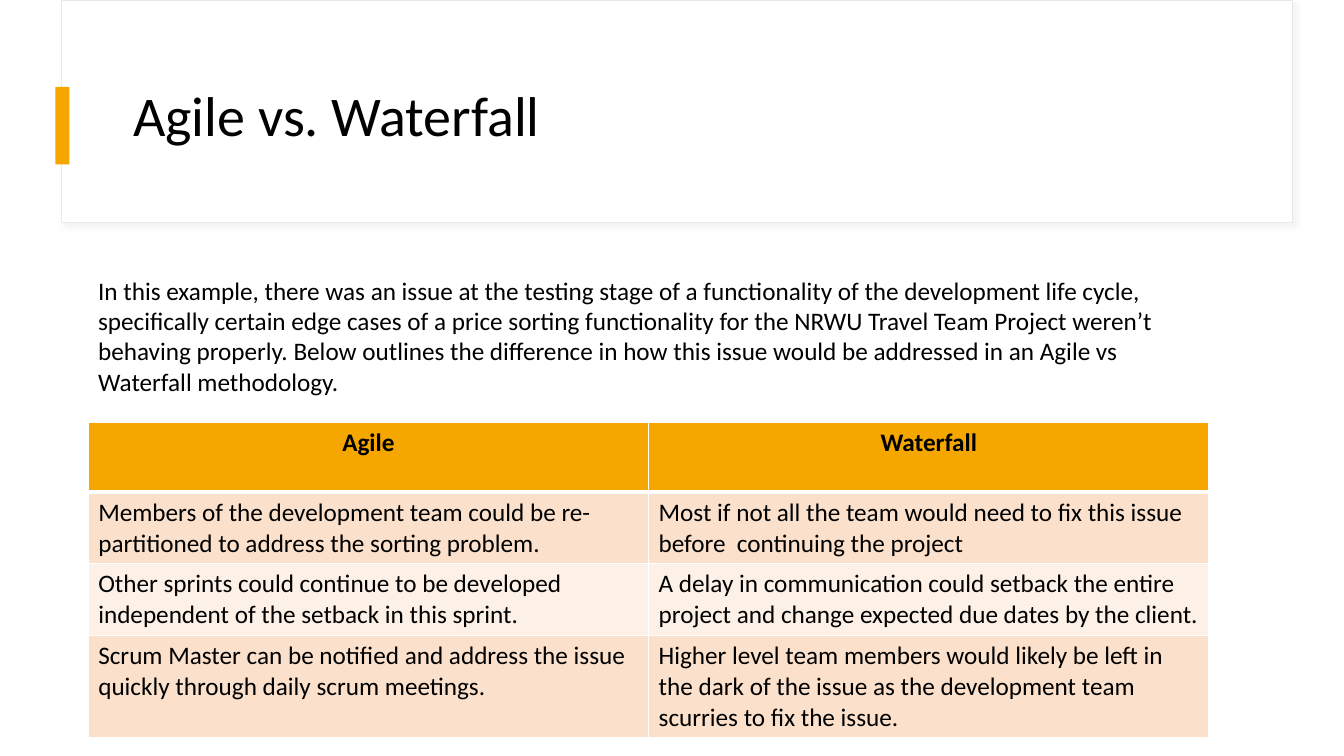
from lxml.etree import SubElement
from pptx import Presentation
from pptx.dml.color import RGBColor
from pptx.enum.shapes import MSO_SHAPE
from pptx.enum.text import MSO_ANCHOR, PP_ALIGN
from pptx.oxml.ns import qn
from pptx.util import Pt

COLORS = {
    "white": "FFFFFF",
    "black": "000000",
    "amber": "F5A700",
    "outline": "E9E9E9",
    "shadow": "D9D9D9",
    "band dark": "FBE1CC",
    "band light": "FDF1E7",
}
INTRODUCTION = (
    "In this example, there was an issue at the testing stage of a functionality of the "
    "development life cycle, specifically certain edge cases of a price sorting functionality "
    "for the NRWU Travel Team Project weren’t behaving properly. Below outlines the difference "
    "in how this issue would be addressed in an Agile vs Waterfall methodology."
)
COMPARISON = [
    ("Agile", "Waterfall"),
    ("Members of the development team could be re-partitioned to address the sorting problem.",
     "Most if not all the team would need to fix this issue before  continuing the project"),
    ("Other sprints could continue to be developed independent of the setback in this sprint.",
     "A delay in communication could setback the entire project and change expected due dates "
     "by the client."),
    ("Scrum Master can be notified and address the issue quickly through daily scrum meetings.",
     "Higher level team members would likely be left in the dark of the issue as the development "
     "team scurries to fix the issue."),
]


def color(name):
    return RGBColor.from_string(COLORS[name])


def points(*lengths):
    return [Pt(length) for length in lengths]


class SlideBuilder:
    font_name = "Calibri"
    body_size = 18
    title_size = 40

    def __init__(self, presentation):
        self.slide = presentation.slides.add_slide(presentation.slide_layouts[5])

    def set_text(self, frame, text, size, bold=False, align=PP_ALIGN.LEFT):
        frame.word_wrap = True
        paragraph = frame.paragraphs[0]
        paragraph.text = text
        paragraph.alignment = align
        paragraph.font.name = self.font_name
        paragraph.font.size = Pt(size)
        paragraph.font.bold = bold
        paragraph.font.color.rgb = color("black")
        return paragraph

    def rectangle(self, box, fill, line=None):
        shape = self.slide.shapes.add_shape(MSO_SHAPE.RECTANGLE, *points(*box))
        shape.shadow.inherit = False
        shape.fill.solid()
        shape.fill.fore_color.rgb = color(fill)
        if line:
            shape.line.color.rgb = color(line)
            shape.line.width = Pt(0.75)
        else:
            shape.line.fill.background()
        return shape

    def soft_shadow(self, shape):
        effects = shape._element.spPr.find(qn("a:effectLst"))
        shadow = SubElement(effects, qn("a:outerShdw"), blurRad=str(Pt(4)),
                            dist=str(Pt(3)), dir="2700000", algn="tl", rotWithShape="0")
        tint = SubElement(shadow, qn("a:srgbClr"), val=COLORS["shadow"])
        SubElement(tint, qn("a:alpha"), val="30000")

    def title(self, box, text):
        title = self.slide.shapes.title
        title.left, title.top, title.width, title.height = points(*box)
        title.text_frame.vertical_anchor = MSO_ANCHOR.MIDDLE
        self.set_text(title.text_frame, text, self.title_size).line_spacing = 0.9
        self.slide.shapes._spTree.append(title._element)

    def text(self, box, text):
        text_box = self.slide.shapes.add_textbox(*points(*box))
        self.set_text(text_box.text_frame, text, self.body_size)

    def cell_borders(self, cell, bottom):
        properties = cell._tc.get_or_add_tcPr()
        for side, width in (("L", 1), ("R", 1), ("T", 1), ("B", bottom)):
            line = SubElement(properties, qn(f"a:ln{side}"), w=str(Pt(width)))
            fill = SubElement(line, qn("a:solidFill"))
            SubElement(fill, qn("a:srgbClr"), val=COLORS["white"])

    def table(self, box, rows):
        frame = self.slide.shapes.add_table(len(rows), len(rows[0]), *points(*box))
        for row_index, row in enumerate(rows):
            header = row_index == 0
            band = "band dark" if row_index % 2 else "band light"
            for column_index, text in enumerate(row):
                cell = frame.table.cell(row_index, column_index)
                self.cell_borders(cell, 3 if header else 1)
                cell.fill.solid()
                cell.fill.fore_color.rgb = color("amber" if header else band)
                self.set_text(cell.text_frame, text, self.body_size, header,
                              PP_ALIGN.CENTER if header else PP_ALIGN.LEFT)


presentation = Presentation()
presentation.slide_width, presentation.slide_height = points(960, 540)
builder = SlideBuilder(presentation)
title_card = builder.rectangle((44, 0, 879, 159), "white", "outline")
builder.soft_shadow(title_card)
builder.rectangle((39.6, 62, 10, 55.5), "amber")
builder.title((88, 38, 800, 93), "Agile vs. Waterfall")
builder.table((63, 301.9, 800.6, 198.8), COMPARISON)
builder.text((63, 193, 800.6, 94.3), INTRODUCTION)
presentation.save("out.pptx")
